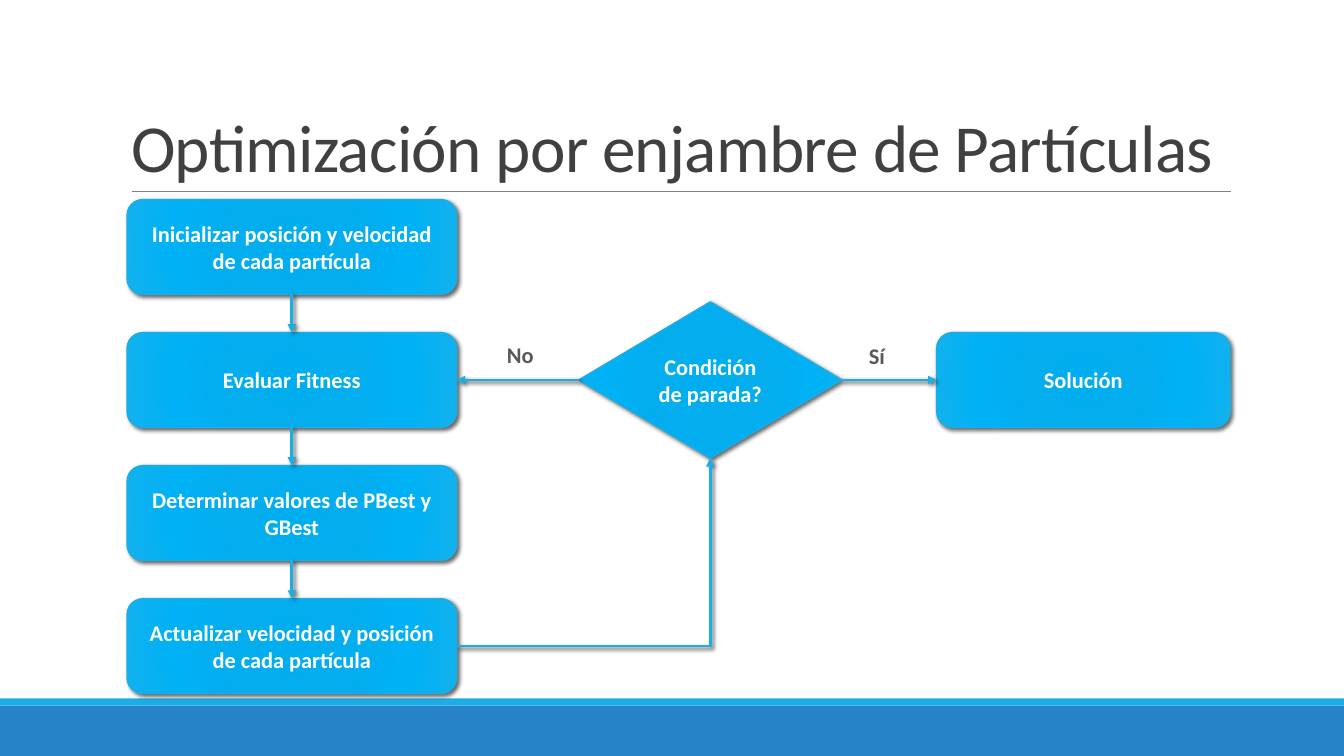
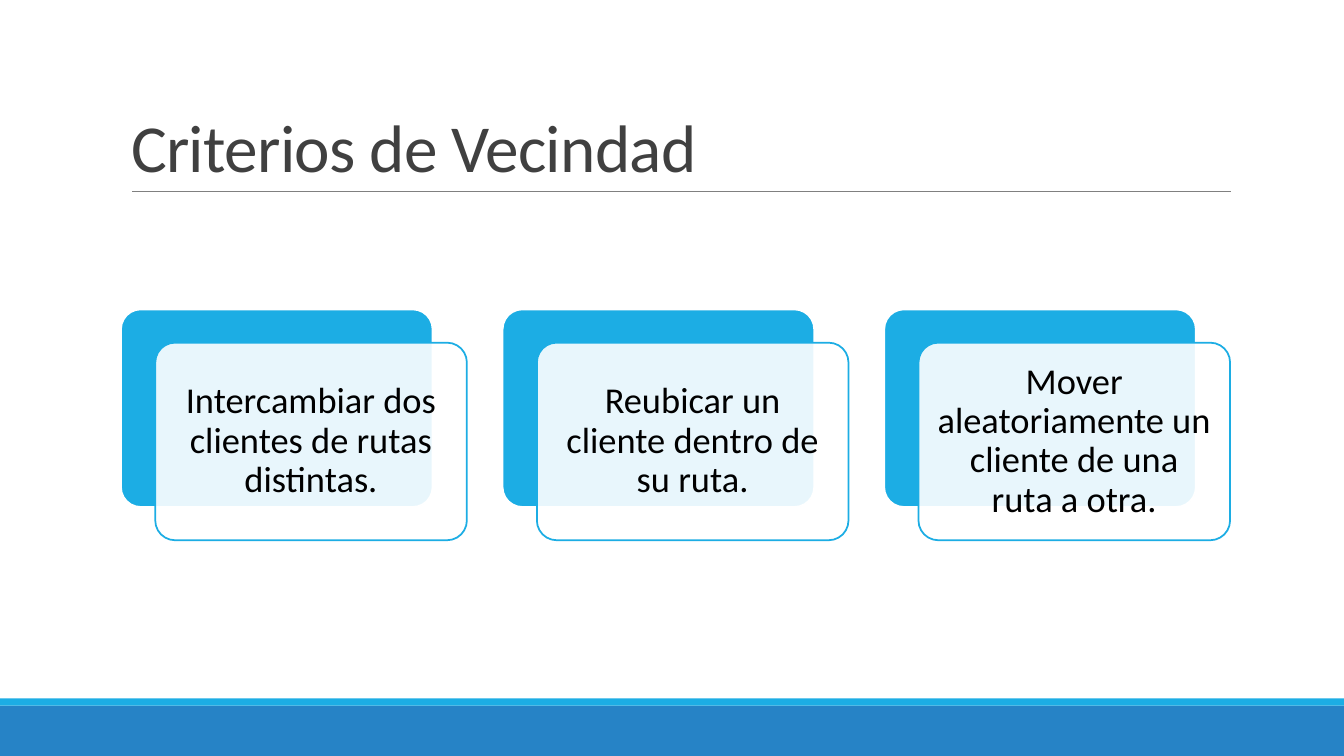
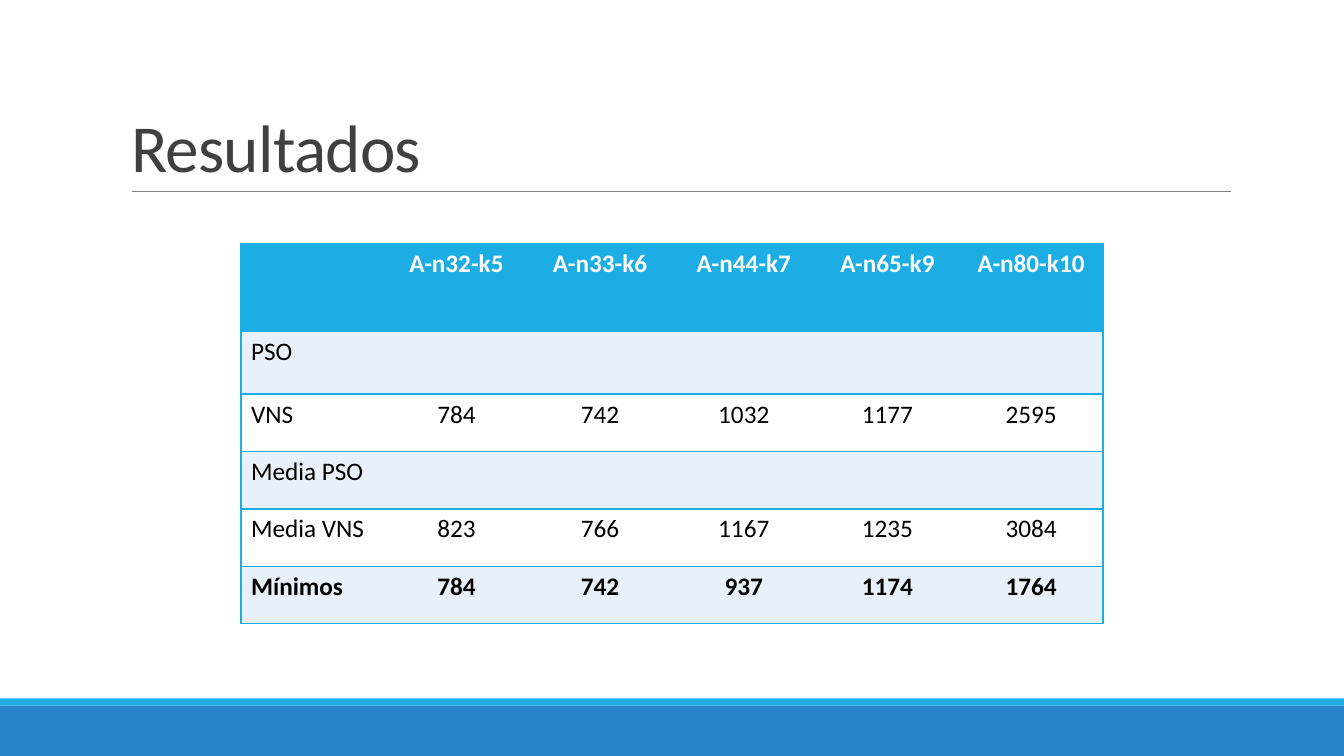
from lxml import etree
from pptx import Presentation
from pptx.dml.color import RGBColor
from pptx.enum.shapes import MSO_CONNECTOR, MSO_SHAPE
from pptx.enum.text import MSO_ANCHOR, PP_ALIGN
from pptx.oxml import parse_xml
from pptx.oxml.ns import nsdecls, qn
from pptx.util import Inches, Pt

RECT, ROUNDED, DIAMOND = MSO_SHAPE.RECTANGLE, MSO_SHAPE.ROUNDED_RECTANGLE, MSO_SHAPE.DIAMOND
STRAIGHT, ELBOW = MSO_CONNECTOR.STRAIGHT, MSO_CONNECTOR.ELBOW
LEFT, CENTER = PP_ALIGN.LEFT, PP_ALIGN.CENTER
TOP, MIDDLE, BOTTOM = MSO_ANCHOR.TOP, MSO_ANCHOR.MIDDLE, MSO_ANCHOR.BOTTOM
TOP_SIDE, LEFT_SIDE, BOTTOM_SIDE, RIGHT_SIDE = range(4)

COLORS = {
    "accent": "1CADE4", "footer": "2683C6", "rule": "808080", "title": "404040",
    "label": "595959", "band": "E8F1FA", "white": "FFFFFF", "black": "000000",
}
FLOW_GRADIENT = [(0, "00ADEF"), (34, "03ADEE"), (70, "00B1F5"), (100, "12B1EE")]
FONT = "Calibri"
NO_TABLE_STYLE = "{2D5ABB26-0587-4C30-8999-92F81FD0307C}"
SLIDE_W, SLIDE_H = 13.33, 7.5
TITLE_BOX = (1.2, 0.31, 11, 1.59)
FLOW_BOX = (1.26, 1.98, 10.94, 4.9)
CARDS_BOX = (1.2, 3.07, 11, 2.29)
TABLE_BOX = (2.39, 2.42, 8.55, 3.77)

STEPS = [
    "Inicializar posición y velocidad de cada partícula",
    "Evaluar Fitness",
    "Determinar valores de PBest y GBest",
    "Actualizar velocidad y posición de cada partícula",
]
CRITERIA = [
    "Intercambiar dos clientes de rutas distintas.",
    "Reubicar un cliente dentro de su ruta.",
    "Mover aleatoriamente un cliente de una ruta a otra.",
]
RESULTS = [
    ["", "A-n32-k5", "A-n33-k6", "A-n44-k7", "A-n65-k9", "A-n80-k10"],
    ["PSO", "", "", "", "", ""],
    ["VNS", "784", "742", "1032", "1177", "2595"],
    ["Media PSO", "", "", "", "", ""],
    ["Media VNS", "823", "766", "1167", "1235", "3084"],
    ["Mínimos", "784", "742", "937", "1174", "1764"],
]
ROW_HEIGHTS = [0.87, 0.62, 0.57, 0.57, 0.57, 0.57]


def rgb(color):
    """Return the palette colour with the given name."""
    return RGBColor.from_string(COLORS[color])


def inches(box):
    """Convert a box of plain numbers to lengths."""
    return [Inches(value) for value in box]


def write_text(frame, text, size=16, color="black", bold=False, align=LEFT,
               anchor=TOP, spacing=None, tracking=None, inset=None):
    """Fill a text frame with one formatted paragraph."""
    frame.word_wrap = True
    frame.vertical_anchor = anchor
    if inset is not None:
        frame.margin_left = frame.margin_right = Inches(inset)
        frame.margin_top = frame.margin_bottom = Inches(inset)
    paragraph = frame.paragraphs[0]
    paragraph.alignment = align
    if spacing:
        paragraph.line_spacing = spacing
    run = paragraph.add_run()
    run.text = text
    run.font.name, run.font.size, run.font.bold = FONT, Pt(size), bold
    run.font.color.rgb = rgb(color)
    if tracking:
        run.font._element.set("spc", str(int(tracking * 100)))


def add_panel(slide, kind, box, fill, line=None, width=1):
    """Add a flat preset shape."""
    panel = slide.shapes.add_shape(kind, *inches(box))
    panel.shadow.inherit = False
    panel.fill.solid()
    panel.fill.fore_color.rgb = rgb(fill)
    if line:
        panel.line.color.rgb = rgb(line)
        panel.line.width = Pt(width)
    else:
        panel.line.fill.background()
    return panel


def add_line(slide, start, end, color, width, kind=STRAIGHT):
    """Add a connector without a shadow."""
    line = slide.shapes.add_connector(kind, *inches(start + end))
    line.line.color.rgb = rgb(color)
    line.line.width = Pt(width)
    etree.SubElement(line.element.spPr, qn("a:effectLst"))
    return line


def add_shadow(item):
    """Put the flowchart shadow into the effect list of a shape or connector."""
    item.element.spPr.find(qn("a:effectLst")).append(parse_xml(
        f'<a:outerShdw {nsdecls("a")} blurRad="{Pt(3)}" dist="{Pt(2)}" dir="2700000" '
        f'algn="tl" rotWithShape="0"><a:srgbClr val="{COLORS["black"]}">'
        '<a:alpha val="60000"/></a:srgbClr></a:outerShdw>'))


def add_node(slide, kind, box, text):
    """Add a flowchart node with gradient and shadow."""
    node = add_panel(slide, kind, box, "accent", "accent")
    stops = "".join(f'<a:gs pos="{position * 1000}"><a:srgbClr val="{color}"/></a:gs>'
                    for position, color in FLOW_GRADIENT)
    gradient = parse_xml(
        f'<a:gradFill {nsdecls("a")} rotWithShape="1"><a:gsLst>{stops}</a:gsLst>'
        '<a:path path="circle"><a:fillToRect l="100000" t="100000" r="100000" b="100000"/>'
        '</a:path></a:gradFill>')
    properties = node.element.spPr
    properties.replace(properties.find(qn("a:solidFill")), gradient)
    add_shadow(node)
    write_text(node.text_frame, text, color="white", bold=True, align=CENTER, anchor=MIDDLE)
    return node


def add_arrow(slide, source, source_side, target, target_side, kind=STRAIGHT):
    """Join two nodes with an arrow."""
    arrow = add_line(slide, (0, 0), (1, 1), "accent", 2, kind)
    arrow.begin_connect(source, source_side)
    arrow.end_connect(target, target_side)
    properties = arrow.element.spPr
    etree.SubElement(properties.find(qn("a:ln")), qn("a:tailEnd"), type="triangle")
    if kind == ELBOW:
        properties.find(qn("a:prstGeom")).set("prst", "bentConnector2")
    add_shadow(arrow)


def add_flowchart(slide, box):
    """Draw the particle swarm loop inside the box."""
    left, top, width, height = box
    node_w, node_h = 3.27, 0.94
    pitch = (height - node_h) / (len(STEPS) - 1)
    steps = [add_node(slide, ROUNDED, (left, top + i * pitch, node_w, node_h), text)
             for i, text in enumerate(STEPS)]
    axis = top + pitch + node_h / 2
    test_w, test_h, solution_w = 2.61, 1.55, 2.91
    test = add_node(slide, DIAMOND, (left + 4.48, axis - test_h / 2, test_w, test_h),
                    "Condición de parada?")
    solution = add_node(slide, ROUNDED,
                        (left + width - solution_w, top + pitch, solution_w, node_h), "Solución")
    for upper, lower in zip(steps, steps[1:]):
        add_arrow(slide, upper, BOTTOM_SIDE, lower, TOP_SIDE)
    add_arrow(slide, steps[-1], RIGHT_SIDE, test, BOTTOM_SIDE, ELBOW)
    add_arrow(slide, test, RIGHT_SIDE, solution, LEFT_SIDE)
    add_arrow(slide, test, LEFT_SIDE, steps[1], RIGHT_SIDE)
    for answer, offset, rise, label_w in (("Sí", 7.26, 0.42, 0.44), ("No", 3.67, 0.43, 0.64)):
        label = slide.shapes.add_textbox(*inches((left + offset, axis - rise, label_w, 0.37)))
        write_text(label.text_frame, answer, color="label", bold=True)


def add_cards(slide, box):
    """Draw the row of layered cards inside the box."""
    left, top, width, height = box
    card_w, card_h = 3.09, 1.96
    shift_x, shift_y = 0.34, height - card_h
    pitch = (width - card_w - shift_x) / (len(CRITERIA) - 1)
    for i, text in enumerate(CRITERIA):
        x = left + i * pitch
        back = add_panel(slide, ROUNDED, (x, top, card_w, card_h), "accent", "white", 1.25)
        front = add_panel(slide, ROUNDED, (x + shift_x, top + shift_y, card_w, card_h),
                          "white", "accent", 1.25)
        back.adjustments[0] = front.adjustments[0] = 0.1
        tint = front.element.spPr.find(qn("a:solidFill")).find(qn("a:srgbClr"))
        etree.SubElement(tint, qn("a:alpha"), val="90000")
        write_text(front.text_frame, text, size=26, align=CENTER, anchor=MIDDLE,
                   spacing=0.9, inset=0.11)


def add_borders(cell, sides):
    """Draw thin accent borders on the given sides of a cell."""
    properties = cell._tc.get_or_add_tcPr()
    for i, side in enumerate(sides):
        properties.insert(i, parse_xml(
            f'<a:ln{side} {nsdecls("a")} w="{Pt(1)}"><a:solidFill>'
            f'<a:srgbClr val="{COLORS["accent"]}"/></a:solidFill></a:ln{side}>'))


def add_results(slide, box):
    """Place the results table inside the box."""
    last = len(RESULTS[0]) - 1
    frame = slide.shapes.add_table(len(RESULTS), last + 1, *inches(box))
    for style in frame.element.iter(qn("a:tableStyleId")):
        style.text = NO_TABLE_STYLE
    table = frame.table
    for column in table.columns:
        column.width = Inches(box[2] / (last + 1))
    for r, values in enumerate(RESULTS):
        table.rows[r].height = Inches(ROW_HEIGHTS[r])
        fill = "accent" if r == 0 else "band" if r % 2 else "white"
        for c, value in enumerate(values):
            cell = table.cell(r, c)
            cell.fill.solid()
            cell.fill.fore_color.rgb = rgb(fill)
            add_borders(cell, ["L"] * (c == 0) + ["R"] * (c == last) + ["T", "B"])
            if value:
                write_text(cell.text_frame, value, size=18,
                           color="black" if r else "white",
                           bold=r in (0, len(RESULTS) - 1),
                           align=CENTER if c else LEFT)


def decorate_layout(slide, layout):
    """Build the shared bands and title rule and move them to the layout."""
    for placeholder in list(layout.placeholders):
        if placeholder.placeholder_format.idx:
            layout.shapes.element.remove(placeholder.element)
    parts = [
        add_panel(slide, RECT, (0, 7, SLIDE_W, 0.5), "footer"),
        add_panel(slide, RECT, (0, 6.93, SLIDE_W, 0.07), "accent"),
        add_line(slide, (1.31, 1.9), (12.21, 1.9), "rule", 0.5),
    ]
    for part in parts:
        layout.shapes.element.append(part.element)


def add_titled_slide(deck, layout, title):
    """Add a slide with the shared title style."""
    slide = deck.slides.add_slide(layout)
    heading = slide.shapes.title
    heading.left, heading.top, heading.width, heading.height = inches(TITLE_BOX)
    write_text(heading.text_frame, title, size=48, color="title", anchor=BOTTOM,
               spacing=0.85, tracking=-0.5)
    return slide


def main():
    """Build and save the deck."""
    deck = Presentation()
    deck.slide_width, deck.slide_height = inches((SLIDE_W, SLIDE_H))
    layout = deck.slide_layouts[5]
    swarm = add_titled_slide(deck, layout, "Optimización por enjambre de Partículas")
    decorate_layout(swarm, layout)
    add_flowchart(swarm, FLOW_BOX)
    add_cards(add_titled_slide(deck, layout, "Criterios de Vecindad"), CARDS_BOX)
    add_results(add_titled_slide(deck, layout, "Resultados"), TABLE_BOX)
    deck.save("out.pptx")


if __name__ == "__main__":
    main()
